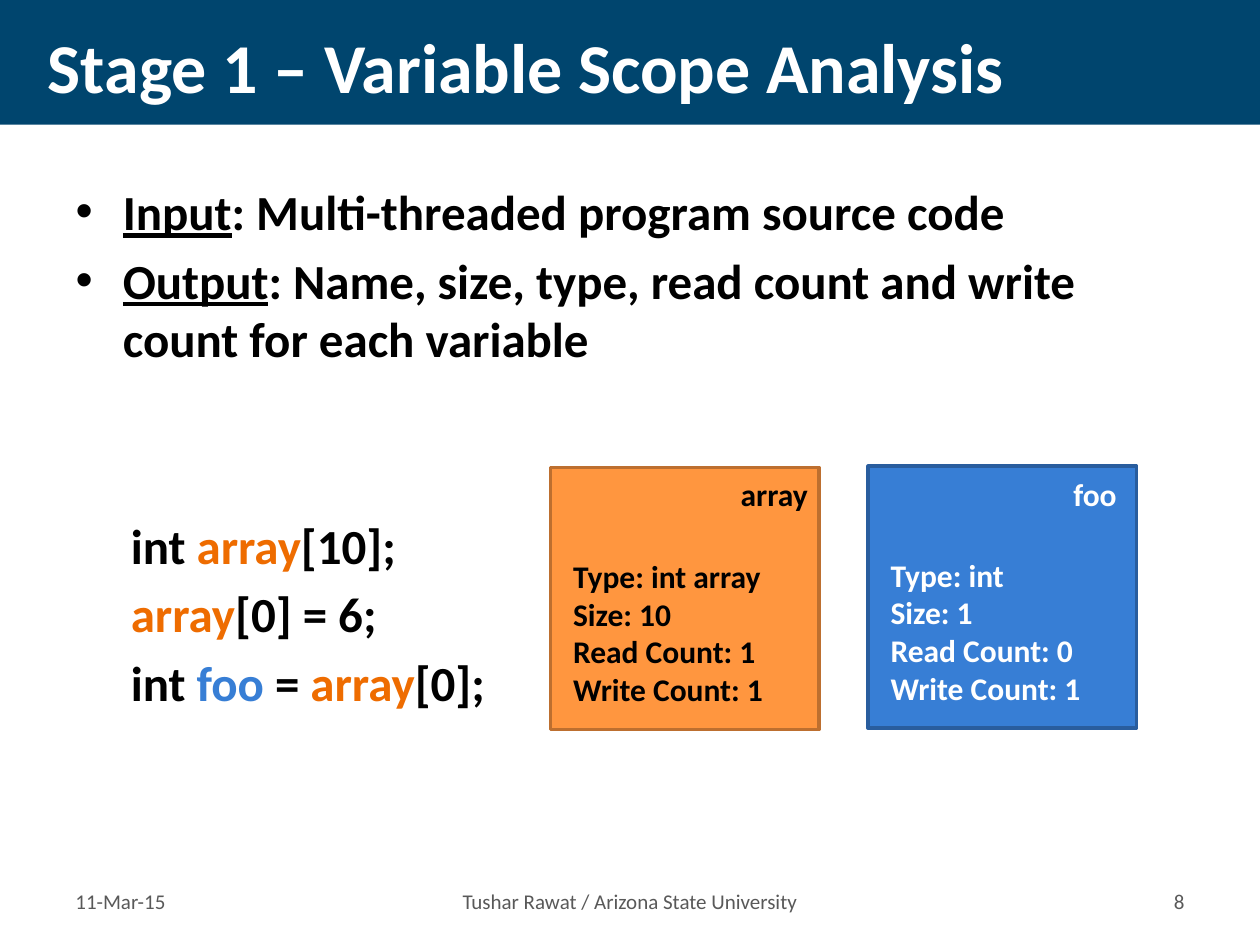
from dataclasses import dataclass

from pptx import Presentation
from pptx.dml.color import RGBColor
from pptx.enum.shapes import MSO_SHAPE as Shape
from pptx.enum.text import MSO_ANCHOR as Anchor, MSO_AUTO_SIZE as AutoSize, PP_ALIGN as Align
from pptx.util import Inches, Pt


@dataclass(frozen=True)
class Theme:
    font: str = "Calibri"
    band: str = "00456E"
    white: str = "FFFFFF"
    black: str = "000000"
    gray: str = "595959"
    code_array: str = "EE6C00"
    orange: str = "FF963F"
    orange_line: str = "BD6F2F"
    blue: str = "377ED5"
    blue_line: str = "295D9E"
    title: int = 40
    body: int = 28
    card: int = 18
    footer: int = 12


T = Theme()
WIDTH, HEIGHT = 10, 7.5
MARGIN = WIDTH * 0.05
CARD_W, CARD_H = 2.13, 2.08


def rgb(color):
    return RGBColor.from_string(color)


def box(*lengths):
    return [Inches(n) for n in lengths]


def style(p, size, color, bold=True):
    p.font.name, p.font.size, p.font.bold = T.font, Pt(size), bold
    p.font.color.rgb = rgb(color)


def place(sp, *lengths):
    sp.left, sp.top, sp.width, sp.height = box(*lengths)


def add_rect(s, at, fill, line=None):
    sp = s.shapes.add_shape(Shape.RECTANGLE, *box(*at))
    sp.shadow.inherit = False
    sp.fill.solid()
    sp.fill.fore_color.rgb = rgb(fill)
    if line:
        sp.line.color.rgb = rgb(line)
        sp.line.width = Pt(2)
    else:
        sp.line.fill.background()
    return sp


def add_text(s, at, lines, size, color, bold=True, wrap=False, align=Align.LEFT, anchor=Anchor.TOP):
    tf = s.shapes.add_textbox(*box(*at)).text_frame
    tf.word_wrap, tf.vertical_anchor = wrap, anchor
    tf.text = "\n".join(lines)
    for p in tf.paragraphs:
        p.alignment = align
        style(p, size, color, bold)


def add_title(s, text):
    band = add_rect(s, (0, 0, WIDTH, 0.99), T.band)
    s.shapes._spTree.insert(2, band._element)  # behind the title
    place(s.shapes.title, 0.28, 0.1, 9.45, 0.84)
    tf = s.shapes.title.text_frame
    tf.text, tf.word_wrap = text, False
    p = tf.paragraphs[0]
    p.alignment = Align.LEFT
    style(p, T.title, T.white)


def add_bullets(s, items):
    sp = s.placeholders[1]
    place(sp, MARGIN, 1.39, WIDTH - 2 * MARGIN, 2)
    tf = sp.text_frame
    tf.auto_size = AutoSize.NONE
    for i, (label, text) in enumerate(items):
        p = tf.add_paragraph() if i else tf.paragraphs[0]
        style(p, T.body, T.black)
        p.space_before = Pt(T.body * 0.2 if i else 0)
        r = p.add_run()
        r.text, r.font.underline = label, True
        p.add_run().text = f": {text}"


def add_code(s, at, lines, colors):
    tf = s.shapes.add_textbox(*box(*at)).text_frame
    tf.word_wrap = True
    for i, tokens in enumerate(lines):
        p = tf.add_paragraph() if i else tf.paragraphs[0]
        style(p, T.body, T.black)
        p.space_before = Pt(T.body * 0.2 if i else 0)
        for token in tokens:
            r = p.add_run()
            r.text = token
            if token in colors:
                r.font.color.rgb = rgb(colors[token])


def add_card(s, left, top, name, name_left, name_width, facts, fill, line, color):
    add_rect(s, (left, top, CARD_W, CARD_H), fill, line)
    add_text(s, (left + 0.08, top + 0.66, 1.72, 1.31),
             [f"{key}: {value}" for key, value in facts.items()], T.card, color)
    add_text(s, (name_left, 3.72, name_width, 0.4), [name], T.card, color)


def add_footer(s):
    side = 1.19
    for left, width, text, align in (
        (MARGIN, side, "11-Mar-15", Align.LEFT),
        (1.85, 6.3, "Tushar Rawat / Arizona State University", Align.CENTER),
        (WIDTH - MARGIN - side, side, "8", Align.RIGHT),
    ):
        add_text(s, (left, 6.95, width, 0.4), [text], T.footer, T.gray,
                 bold=False, wrap=True, align=align, anchor=Anchor.MIDDLE)


def main():
    prs = Presentation()
    prs.slide_width, prs.slide_height = box(WIDTH, HEIGHT)
    s = prs.slides.add_slide(prs.slide_layouts[1])

    # Heading and summary
    add_title(s, "Stage 1 – Variable Scope Analysis")
    add_bullets(s, [
        ("Input", "Multi-threaded program source code"),
        ("Output", "Name, size, type, read count and write count for each variable"),
    ])

    # Sample code with its variables coloured
    add_code(s, (0.94, 4.04, 3.4, 1.7), [
        ("int ", "array", "[10];"),
        ("array", "[0] = 6;"),
        ("int ", "foo", " = ", "array", "[0];"),
    ], {"array": T.code_array, "foo": T.blue})

    # One card per variable
    add_card(s, 4.37, 3.71, "array", 5.78, 0.74,
             {"Type": "int array", "Size": 10, "Read Count": 1, "Write Count": 1},
             T.orange, T.orange_line, T.black)
    add_card(s, 6.89, 3.7, "foo", 8.42, 0.55,
             {"Type": "int", "Size": 1, "Read Count": 0, "Write Count": 1},
             T.blue, T.blue_line, T.white)

    add_footer(s)
    prs.save("out.pptx")


if __name__ == "__main__":
    main()
